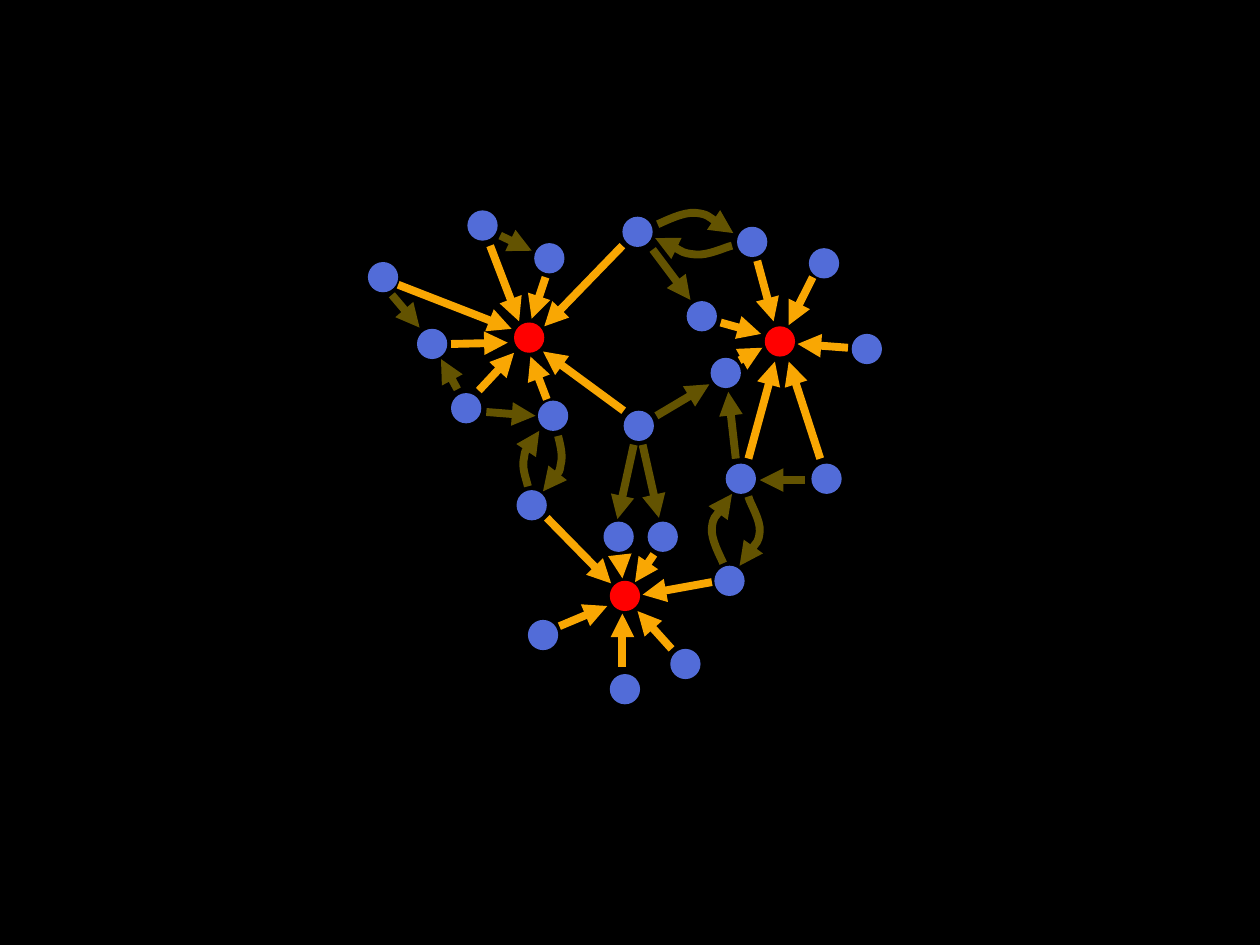
from lxml import etree
from pptx import Presentation
from pptx.dml.color import RGBColor
from pptx.enum import shapes
from pptx.oxml import ns
from pptx.util import Inches, Pt

BLACK = RGBColor(0x00, 0x00, 0x00)
BLUE = RGBColor(0x52, 0x6C, 0xD8)
RED = RGBColor(0xFF, 0x00, 0x00)
ORANGE = RGBColor(0xF9, 0xA7, 0x03)
OLIVE = RGBColor(0x63, 0x53, 0x01)
NODE_SIZE = 0.24

# Left and top of each node
HUBS = [(4.08, 2.56), (6.07, 2.59), (4.84, 4.61)]
PAGES = [
    (2.92, 2.08), (3.71, 1.67), (4.24, 1.93), (3.31, 2.61), (3.58, 3.12),
    (4.27, 3.18), (4.1, 3.89), (4.94, 1.72), (5.85, 1.8), (6.42, 1.97),
    (6.76, 2.65), (5.45, 2.39), (5.64, 2.84), (4.95, 3.26), (5.76, 3.68),
    (6.44, 3.68), (4.79, 4.14), (5.14, 4.14), (5.67, 4.49), (4.19, 4.92),
    (4.84, 5.35), (5.32, 5.15),
]

# Start x, start y, end x, end y
LINKS_TO_HUBS = [
    # left hub
    (3.16, 2.26, 4.06, 2.61), (3.89, 1.95, 4.12, 2.55),
    (4.33, 2.2, 4.22, 2.53), (4.94, 1.95, 4.32, 2.59),
    (3.58, 2.73, 4.03, 2.72), (3.8, 3.1, 4.08, 2.8),
    (4.34, 3.17, 4.21, 2.83), (4.95, 3.26, 4.31, 2.79),
    # right hub
    (6.01, 2.07, 6.14, 2.55), (6.45, 2.2, 6.26, 2.58),
    (6.73, 2.76, 6.33, 2.73), (6.51, 3.64, 6.26, 2.87),
    (5.94, 3.64, 6.15, 2.87), (5.87, 2.86, 6.05, 2.76),
    (5.72, 2.56, 6.04, 2.65),
    # bottom hub
    (4.34, 4.11, 4.85, 4.63), (4.92, 4.41, 4.94, 4.59),
    (5.19, 4.4, 5.04, 4.62), (5.65, 4.62, 5.1, 4.72),
    (5.33, 5.15, 5.06, 4.85), (4.94, 5.29, 4.94, 4.87),
    (4.44, 4.97, 4.82, 4.81),
]
LINKS_BETWEEN_PAGES = [
    (3.97, 1.87, 4.22, 1.99), (3.11, 2.34, 3.33, 2.6),
    (3.63, 3.09, 3.5, 2.85), (3.86, 3.27, 4.25, 3.3),
    (5.18, 1.98, 5.48, 2.38), (5.21, 3.3, 5.63, 3.05),
    (5.03, 3.53, 4.9, 4.12), (5.1, 3.53, 5.23, 4.11),
    (5.84, 3.64, 5.78, 3.11), (6.39, 3.81, 6.03, 3.81),
]
# Start point, then two Bézier segments of three points each
CURVED_LINKS = [
    [(5.22, 1.78), (5.27, 1.76), (5.42, 1.68), (5.52, 1.69),
     (5.62, 1.7), (5.76, 1.81), (5.82, 1.85)],
    [(5.81, 1.95), (5.76, 1.96), (5.62, 2.03), (5.52, 2.02),
     (5.41, 2.01), (5.26, 1.91), (5.2, 1.89)],
    [(4.19, 3.86), (4.17, 3.78), (4.14, 3.71), (4.16, 3.63),
     (4.17, 3.56), (4.23, 3.49), (4.28, 3.42)],
    [(4.43, 3.46), (4.45, 3.54), (4.47, 3.62), (4.45, 3.69),
     (4.44, 3.76), (4.37, 3.83), (4.31, 3.9)],
    [(5.74, 4.47), (5.72, 4.42), (5.64, 4.28), (5.65, 4.19),
     (5.66, 4.1), (5.77, 3.98), (5.81, 3.92)],
    [(5.94, 3.94), (5.95, 3.99), (6.04, 4.13), (6.03, 4.22),
     (6.02, 4.31), (5.9, 4.44), (5.87, 4.49)],
]


def style_arrow(arrow, color):
    arrow.line.color.rgb = color
    arrow.line.width = Pt(4.5)
    properties = arrow._element.spPr
    outline = properties.find(ns.qn("a:ln"))
    etree.SubElement(outline, ns.qn("a:tailEnd"), type="triangle")
    if properties.find(ns.qn("a:effectLst")) is None:
        etree.SubElement(properties, ns.qn("a:effectLst"))


def add_filled(kind, left, top, width, height, color):
    shape = slide.shapes.add_shape(
        kind, Inches(left), Inches(top), Inches(width), Inches(height))
    shape.shadow.inherit = False
    shape.fill.solid()
    shape.fill.fore_color.rgb = color
    shape.line.fill.background()


deck = Presentation()
deck.slide_width, deck.slide_height = Inches(10), Inches(7.5)
slide = deck.slides.add_slide(deck.slide_layouts[6])
add_filled(shapes.MSO_SHAPE.RECTANGLE, 0, 0, 10, 7.5, BLACK)

for color, links in ((OLIVE, LINKS_BETWEEN_PAGES), (ORANGE, LINKS_TO_HUBS)):
    for link in links:
        arrow = slide.shapes.add_connector(
            shapes.MSO_CONNECTOR.STRAIGHT, *[Inches(value) for value in link])
        style_arrow(arrow, color)

for curve in CURVED_LINKS:
    start, *rest = [(Inches(x), Inches(y)) for x, y in curve]
    builder = slide.shapes.build_freeform(*start)
    builder.add_line_segments(rest, close=False)
    arrow = builder.convert_to_shape()
    arrow.fill.background()
    arrow.shadow.inherit = False
    # Turn every three straight segments into one cubic segment
    segments = arrow._element.findall(".//" + ns.qn("a:lnTo"))
    for first in range(0, len(segments), 3):
        cubic = etree.Element(ns.qn("a:cubicBezTo"))
        segments[first].addprevious(cubic)
        for segment in segments[first:first + 3]:
            cubic.append(segment[0])
            segment.getparent().remove(segment)
    style_arrow(arrow, OLIVE)

for color, nodes in ((BLUE, PAGES), (RED, HUBS)):
    for left, top in nodes:
        add_filled(shapes.MSO_SHAPE.OVAL, left, top, NODE_SIZE, NODE_SIZE, color)

deck.save("out.pptx")
